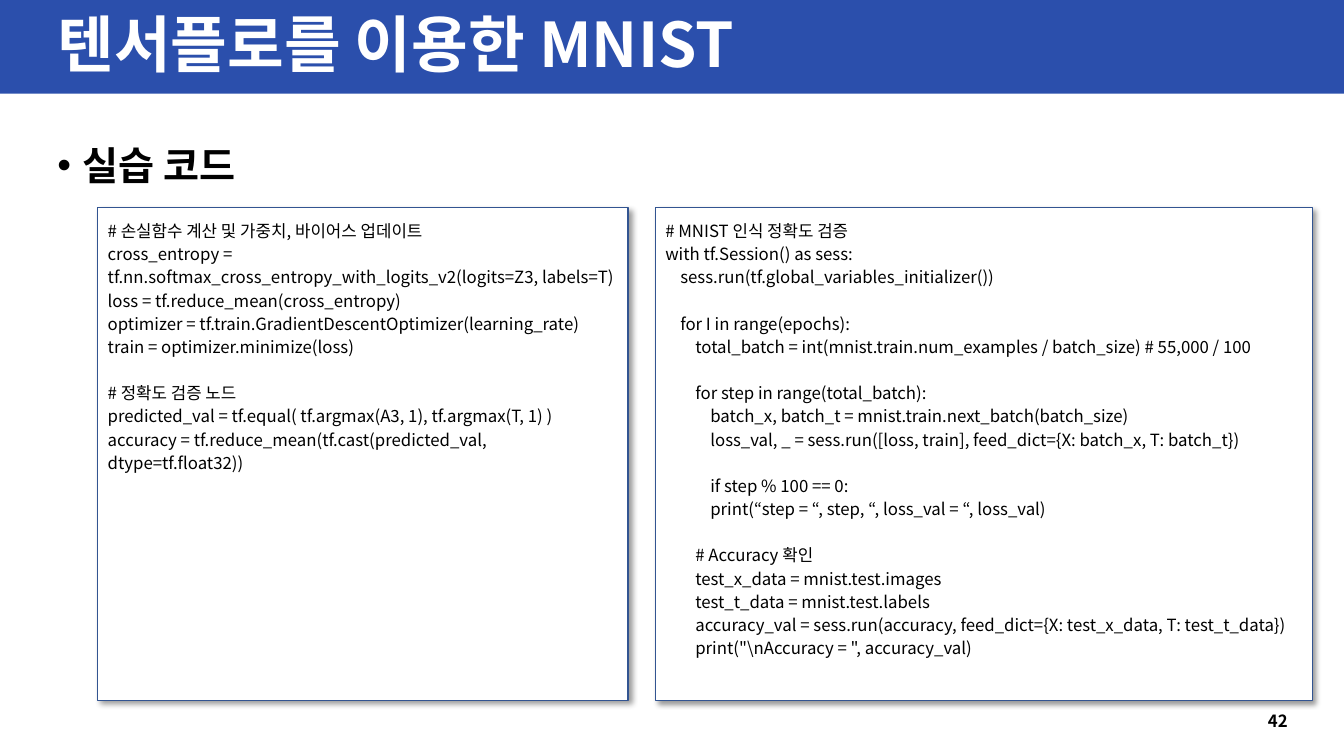
from lxml.etree import SubElement
from pptx import Presentation
from pptx.dml.color import RGBColor
from pptx.enum.shapes import MSO_SHAPE
from pptx.enum.text import MSO_ANCHOR, MSO_AUTO_SIZE, PP_ALIGN
from pptx.oxml import parse_xml
from pptx.oxml.ns import nsdecls, qn
from pptx.util import Inches, Pt

FONT = "Noto Sans CJK KR"
BLUE = RGBColor(0x2B, 0x4F, 0xAC)
OUTLINE = RGBColor(0x32, 0x54, 0x91)
WHITE = RGBColor(0xFF, 0xFF, 0xFF)
BLACK = RGBColor(0, 0, 0)

TRAINING_CODE = """# 손실함수 계산 및 가중치, 바이어스 업데이트
cross_entropy = tf.nn.softmax_cross_entropy_with_logits_v2(logits=Z3, labels=T)
loss = tf.reduce_mean(cross_entropy)
optimizer = tf.train.GradientDescentOptimizer(learning_rate)
train = optimizer.minimize(loss)

# 정확도 검증 노드
predicted_val = tf.equal( tf.argmax(A3, 1), tf.argmax(T, 1) )
accuracy = tf.reduce_mean(tf.cast(predicted_val, dtype=tf.float32))"""

SESSION_CODE = r"""# MNIST 인식 정확도 검증
with tf.Session() as sess:
    sess.run(tf.global_variables_initializer())

    for I in range(epochs):
        total_batch = int(mnist.train.num_examples / batch_size) # 55,000 / 100

        for step in range(total_batch):
            batch_x, batch_t = mnist.train.next_batch(batch_size)
            loss_val, _ = sess.run([loss, train], feed_dict={X: batch_x, T: batch_t})

            if step % 100 == 0:
            print(“step = “, step, “, loss_val = “, loss_val)

        # Accuracy 확인
        test_x_data = mnist.test.images
        test_t_data = mnist.test.labels
        accuracy_val = sess.run(accuracy, feed_dict={X: test_x_data, T: test_t_data})
        print("\nAccuracy = ", accuracy_val)"""


def place(shape, left, top, width, height):
    shape.left, shape.top = Inches(left), Inches(top)
    shape.width, shape.height = Inches(width), Inches(height)


def format_paragraph(paragraph, size, color, bold=False, spacing=1.0, align=PP_ALIGN.LEFT):
    """Style a paragraph and its runs, or its end mark when it is empty."""
    paragraph.alignment = align
    paragraph.line_spacing = spacing
    paragraph.space_before = paragraph.space_after = Pt(0)
    for span in paragraph.runs:
        span.font.name = FONT
        span.font.size = Pt(size)
        span.font.bold = bold
        span.font.color.rgb = color
        SubElement(span.font._element, qn("a:ea"), typeface=FONT)
    if not paragraph.runs:
        end = SubElement(paragraph._p, qn("a:endParaRPr"), sz=str(size * 100))
        for script in ("a:latin", "a:ea"):
            SubElement(end, qn(script), typeface=FONT)


def add_title_band(page, left, top, width, height):
    band = page.shapes.add_shape(MSO_SHAPE.RECTANGLE, Inches(left), Inches(top),
                                 Inches(width), Inches(height))
    band.shadow.inherit = False
    band.fill.solid()
    band.fill.fore_color.rgb = BLUE
    band.line.fill.background()
    page.shapes._spTree.insert(2, band._element)

    title = page.shapes.title
    place(title, left + 0.47, top + 0.05, 11.68, height - 0.09)
    frame = title.text_frame
    frame.text = "텐서플로를 이용한 MNIST"
    frame.auto_size = MSO_AUTO_SIZE.NONE
    frame.vertical_anchor = MSO_ANCHOR.MIDDLE
    format_paragraph(frame.paragraphs[0], 44, WHITE, bold=True, spacing=0.9)


def add_heading(page, left, top, width, height):
    body = page.placeholders[1]
    place(body, left, top, width, height)
    frame = body.text_frame
    frame.text = "실습 코드"
    frame.auto_size = MSO_AUTO_SIZE.NONE
    frame.vertical_anchor = MSO_ANCHOR.TOP
    paragraph = frame.paragraphs[0]
    format_paragraph(paragraph, 28, BLACK, bold=True, spacing=1.5)
    properties = paragraph._p.get_or_add_pPr()
    properties.set("marL", str(Inches(0.25)))
    properties.set("indent", str(-Inches(0.25)))
    SubElement(properties, qn("a:buFont"), typeface="Arial")
    SubElement(properties, qn("a:buChar"), char="•")


def add_shadow(shape):
    shape._element.spPr.append(parse_xml(
        f'<a:effectLst {nsdecls("a")}><a:outerShdw blurRad="{Pt(4)}" dist="{Pt(3)}" '
        'dir="2700000" algn="tl" rotWithShape="0"><a:srgbClr val="000000">'
        '<a:alpha val="40000"/></a:srgbClr></a:outerShdw></a:effectLst>'))


def add_code_panel(page, code, left, top, width, height):
    panel = page.shapes.add_shape(MSO_SHAPE.RECTANGLE, Inches(left), Inches(top),
                                  Inches(width), Inches(height))
    panel.fill.solid()
    panel.fill.fore_color.rgb = WHITE
    panel.line.color.rgb = OUTLINE
    panel.line.width = Pt(1)
    add_shadow(panel)
    frame = panel.text_frame
    frame.word_wrap = True
    frame.vertical_anchor = MSO_ANCHOR.TOP
    frame.margin_left = frame.margin_right = Inches(0.1)
    frame.margin_top = frame.margin_bottom = Inches(0.1)
    frame.text = code
    for paragraph in frame.paragraphs:
        format_paragraph(paragraph, 12, BLACK, spacing=1.15)


def add_page_number(page, number, left, top, width, height):
    box = page.shapes.add_textbox(Inches(left), Inches(top), Inches(width), Inches(height))
    frame = box.text_frame
    frame.word_wrap = True
    frame.vertical_anchor = MSO_ANCHOR.MIDDLE
    frame.text = str(number)
    format_paragraph(frame.paragraphs[0], 12, BLACK, bold=True, align=PP_ALIGN.RIGHT)


def main():
    deck = Presentation()
    deck.slide_width, deck.slide_height = Inches(13.33), Inches(7.5)
    page = deck.slides.add_slide(deck.slide_layouts[1])
    add_title_band(page, 0, 0, 13.33, 0.93)
    add_heading(page, 0.47, 1.12, 12.4, 5.66)
    add_page_number(page, 42, 9.42, 6.95, 3.45, 0.4)
    for code, left, width in ((TRAINING_CODE, 0.97, 5.26), (SESSION_CODE, 6.5, 6.52)):
        add_code_panel(page, code, left, 2.06, width, 4.89)
    deck.save("out.pptx")


if __name__ == "__main__":
    main()
